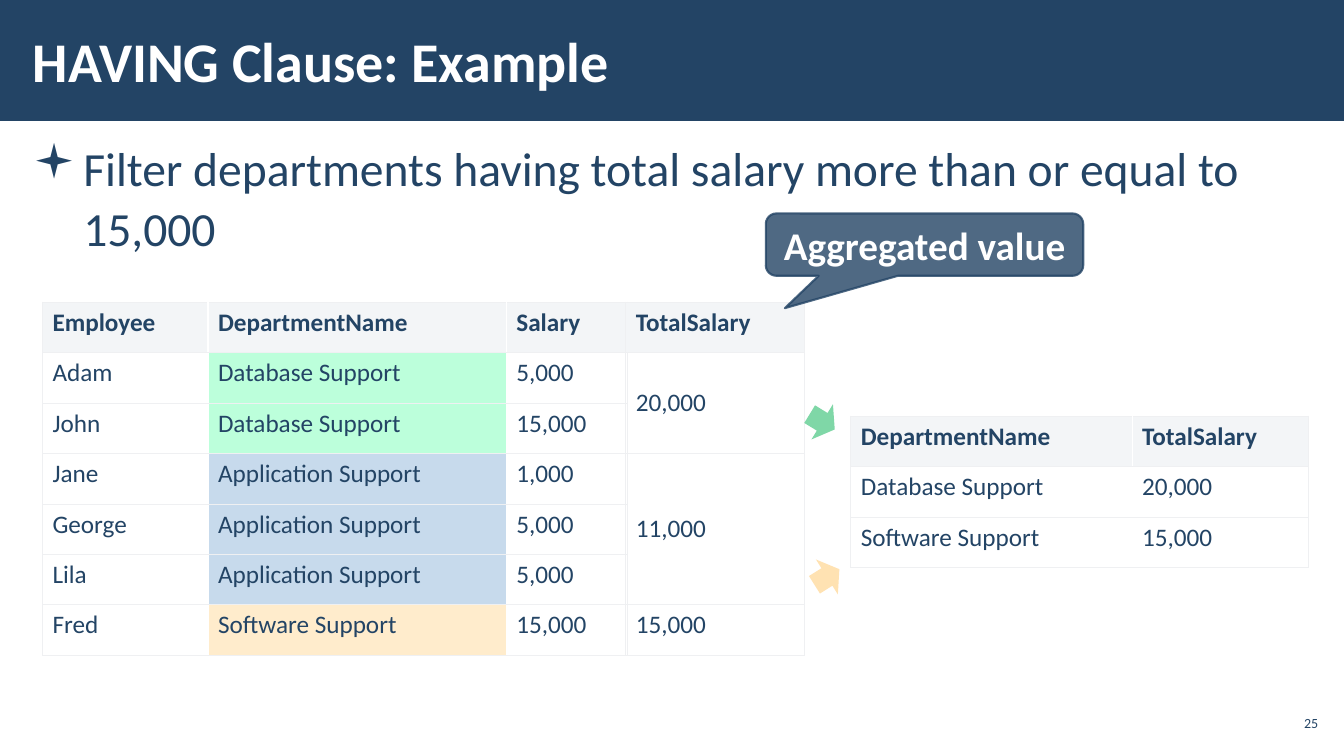
from lxml.etree import SubElement
from pptx import Presentation
from pptx.dml.color import RGBColor
from pptx.enum.shapes import MSO_SHAPE
from pptx.enum.text import MSO_ANCHOR, PP_ALIGN
from pptx.oxml.ns import qn
from pptx.util import Cm, Pt

NAVY, WHITE, PALE, BORDER = "234465", "FFFFFF", "F3F5F7", "EFF0F2"
GREEN, BLUE, ORANGE = "BCFFDB", "C7DAEC", "FFECCC"
ROW_HEIGHT = 1.27

TITLE = "HAVING Clause: Example"
BULLET = "Filter departments having total salary more than or equal to \v15,000"
EMPLOYEES = [
    ("Employee", "DepartmentName", "Salary"),
    ("Adam", "Database Support", "5,000"),
    ("John", "Database Support", "15,000"),
    ("Jane", "Application Support", "1,000"),
    ("George", "Application Support", "5,000"),
    ("Lila", "Application Support", "5,000"),
    ("Fred", "Software Support", "15,000"),
]
DEPARTMENT_FILLS = {
    "Database Support": GREEN,
    "Application Support": BLUE,
    "Software Support": ORANGE,
}
TOTALS = [("TotalSalary",), ("20,000",), ("11,000",), ("15,000",)]
TOTAL_SPANS = [1, 2, 3, 1]
RESULT = [
    ("DepartmentName", "TotalSalary"),
    ("Database Support", "20,000"),
    ("Software Support", "15,000"),
]
ARROWS = [  # left, top, rotation, colour
    (20.35, 10.11, 31.4, "00B050"),
    (20.47, 14.02, 328, "FFC666"),
]


def color(value):
    return RGBColor.from_string(value)


def write(frame, text, size=18, ink=NAVY, bold=False, align=PP_ALIGN.LEFT):
    frame.text = text
    para = frame.paragraphs[0]
    para.alignment = align
    for span in para.runs:
        span.font.name = "Calibri"
        span.font.size = Pt(size)
        span.font.bold = bold
        span.font.color.rgb = color(ink)
    return para


def set_frame(frame, anchor=MSO_ANCHOR.TOP, side=0.3, edge=0.1):
    frame.word_wrap = True
    frame.vertical_anchor = anchor
    frame.margin_left = frame.margin_right = Cm(side)
    frame.margin_top = frame.margin_bottom = Cm(edge)


def add_box(page, left, top, width, height, **layout):
    box = page.shapes.add_textbox(Cm(left), Cm(top), Cm(width), Cm(height))
    set_frame(box.text_frame, **layout)
    return box.text_frame


def add_figure(page, kind, place, fill, line=None, opacity=100):
    figure = page.shapes.add_shape(kind, *map(Cm, place))
    figure.shadow.inherit = False
    figure.fill.solid()
    figure.fill.fore_color.rgb = color(fill)
    if line:
        figure.line.color.rgb = color(line)
        figure.line.width = Pt(1.5)
    else:
        figure.line.fill.background()
    if opacity < 100:
        for shade in figure.element.spPr.iter(qn("a:srgbClr")):
            SubElement(shade, qn("a:alpha"), val=str(opacity * 1000))
    return figure


def add_border(cell, side):
    properties = cell._tc.get_or_add_tcPr()
    line = SubElement(properties, qn("a:ln" + side), w=str(Pt(0.75)))
    SubElement(SubElement(line, qn("a:solidFill")), qn("a:srgbClr"), val=BORDER)


def add_grid(page, left, top, widths, rows, spans=None, fills=None):
    """Add a table; spans gives each row's height in units of ROW_HEIGHT."""
    spans = spans or [1] * len(rows)
    frame = page.shapes.add_table(
        len(rows), len(widths), Cm(left), Cm(top),
        Cm(sum(widths)), Cm(ROW_HEIGHT * sum(spans)))
    table = frame.table
    table.first_row = table.horz_banding = False
    for column, width in zip(table.columns, widths):
        column.width = Cm(width)
    for r, (row, span) in enumerate(zip(rows, spans)):
        table.rows[r].height = Cm(ROW_HEIGHT * span)
        for c, text in enumerate(row):
            cell = table.cell(r, c)
            write(cell.text_frame, text, bold=r == 0)
            if span > 1:
                cell.vertical_anchor = MSO_ANCHOR.MIDDLE
            outer = "L" * (c == 0) + "R" * (c == len(row) - 1)
            for side in outer + "TB":
                add_border(cell, side)
            fill = PALE if r == 0 else (fills or {}).get(text)
            if fill:
                cell.fill.solid()
                cell.fill.fore_color.rgb = color(fill)
            else:
                cell.fill.background()


def main():
    deck = Presentation()
    deck.slide_width, deck.slide_height = Cm(33.87), Cm(19.05)
    page = deck.slides.add_slide(deck.slide_layouts[5])

    title = page.shapes.title
    title.left, title.top, title.width, title.height = map(
        Cm, (0.53, 0.28, 26.42, 2.46))
    set_frame(title.text_frame, anchor=MSO_ANCHOR.MIDDLE)
    write(title.text_frame, TITLE, size=40, ink=WHITE, bold=True)
    band = add_figure(page, MSO_SHAPE.RECTANGLE, (0, 0, 33.87, 3.05), NAVY)
    title.element.addprevious(band.element)

    para = write(add_box(page, 0.53, 3.33, 32.82, 14.45), BULLET, size=34)
    para.line_spacing = 1.05
    para.space_before = para.space_after = Pt(6)
    properties = para._p.get_or_add_pPr()
    properties.set("marL", str(Cm(1.27)))
    properties.set("indent", str(Cm(-1.27)))
    SubElement(properties, qn("a:buFont"), typeface="Wingdings")
    SubElement(properties, qn("a:buChar"), char="▪")

    number = add_box(page, 32.13, 17.78, 1.19, 0.86,
                     anchor=MSO_ANCHOR.MIDDLE, side=0.1)
    write(number, "25", size=10, align=PP_ALIGN.RIGHT)

    add_grid(page, 21.44, 10.49, [7.09, 4.44], RESULT)
    add_grid(page, 1.07, 7.62, [4.17, 7.52, 3.05], EMPLOYEES,
             fills=DEPARTMENT_FILLS)
    add_grid(page, 15.77, 7.62, [4.5], TOTALS, spans=TOTAL_SPANS)

    callout = add_figure(page, MSO_SHAPE.ROUNDED_RECTANGULAR_CALLOUT,
                         (19.3, 5.38, 8, 1.57), NAVY, line=NAVY, opacity=80)
    for index, value in enumerate((-0.44, 1.02, 0.17)):
        callout.adjustments[index] = value
    set_frame(callout.text_frame, anchor=MSO_ANCHOR.MIDDLE, side=0.25)
    write(callout.text_frame, "Aggregated value", size=28, ink=WHITE,
          bold=True, align=PP_ALIGN.CENTER)

    for left, top, rotation, fill in ARROWS:
        arrow = add_figure(page, MSO_SHAPE.RIGHT_ARROW,
                           (left, top, 0.74, 1.04), fill, opacity=50)
        arrow.rotation = rotation
    deck.save("out.pptx")


if __name__ == "__main__":
    main()
